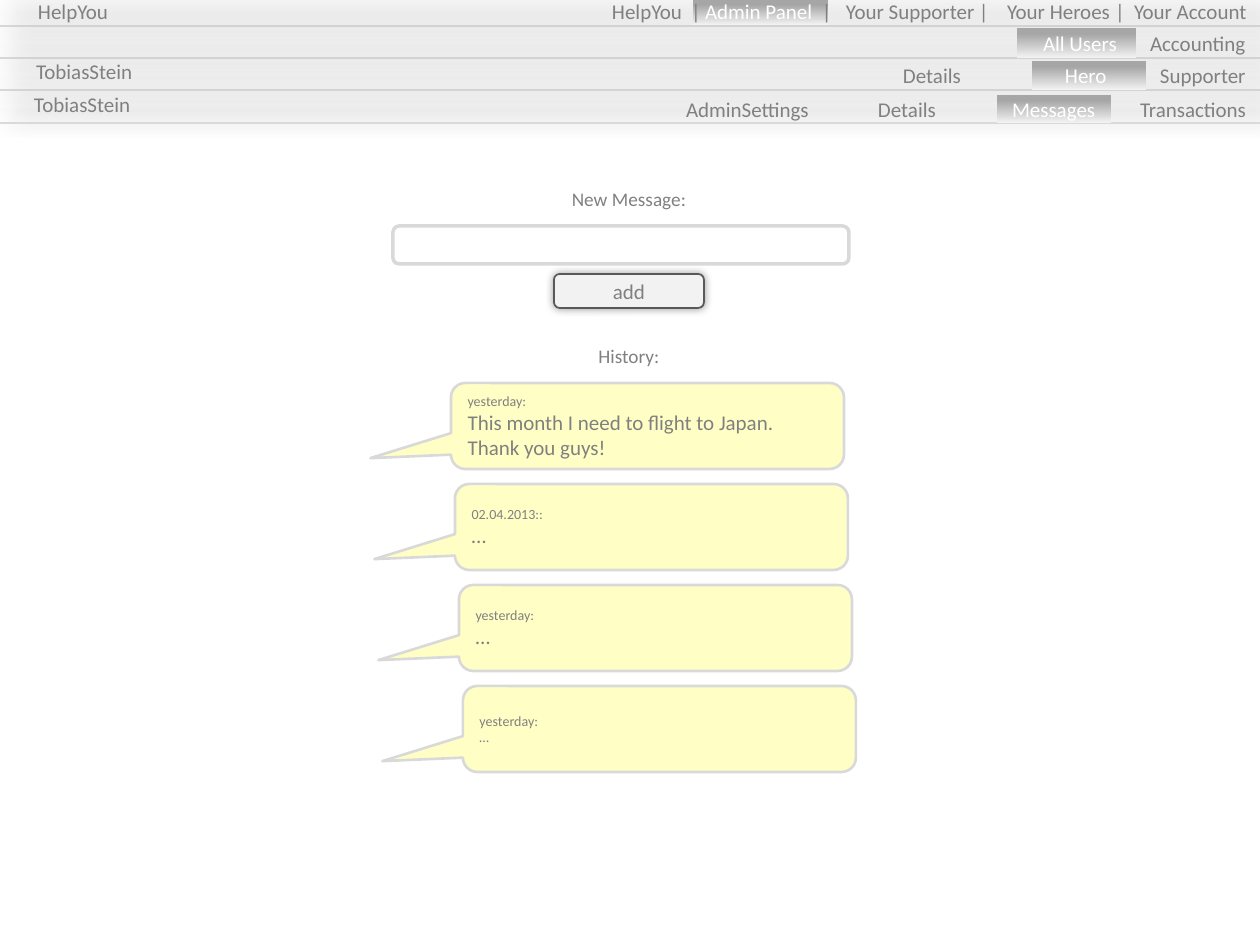
from dataclasses import dataclass

from lxml import etree
from pptx import Presentation
from pptx.dml.color import RGBColor
from pptx.enum.shapes import MSO_CONNECTOR, MSO_SHAPE
from pptx.enum.text import MSO_ANCHOR, PP_ALIGN
from pptx.oxml.ns import qn
from pptx.util import Emu, Pt

PX = 914400 / 126
SLIDE_W, SLIDE_H = 1260, 945
FONT = "Calibri"
RECT, ROUNDED = MSO_SHAPE.RECTANGLE, MSO_SHAPE.ROUNDED_RECTANGLE
CALLOUT = MSO_SHAPE.ROUNDED_RECTANGULAR_CALLOUT
STRAIGHT = MSO_CONNECTOR.STRAIGHT
LEFT, CENTER = PP_ALIGN.LEFT, PP_ALIGN.CENTER
MIDDLE = MSO_ANCHOR.MIDDLE
COLORS = {
    "text": "808080", "active": "FFFFFF", "rule": "D9D9D9",
    "tab_top": "A6A6A6", "tab_bottom": "F2F2F2", "note": "FFFF99",
    "button": "F2F2F2", "button_edge": "595959", "shadow": "000000",
}


@dataclass(frozen=True)
class Box:
    left: int
    top: int
    width: int
    height: int


@dataclass(frozen=True)
class Label:
    text: str
    left: int
    active: bool = False


@dataclass(frozen=True)
class NavRow:
    rule_y: int
    text_y: int
    tab: Box
    labels: tuple[Label, ...]


@dataclass(frozen=True)
class Message:
    when: str
    lines: tuple[str, ...]
    size: int = 12


NAV_ROWS = (
    NavRow(26, 11, Box(693, 0, 135, 25), (
        Label("HelpYou", 612), Label("|", 691), Label("Admin Panel", 705, True),
        Label("|", 822), Label("Your Supporter", 846), Label("|", 979),
        Label("Your Heroes", 1007), Label("|", 1115), Label("Your Account", 1134))),
    NavRow(58, 43, Box(1017, 28, 119, 30), (
        Label("All Users", 1043, True), Label("Accounting", 1150))),
    NavRow(90, 75, Box(1032, 61, 114, 29), (
        Label("Details", 903), Label("Hero", 1065, True), Label("Supporter", 1160))),
    NavRow(123, 109, Box(997, 95, 114, 28), (
        Label("AdminSettings", 686), Label("Details", 878),
        Label("Messages", 1012, True), Label("Transactions", 1140))),
)
# Name at the left end of a row: label and vertical centre
OWNERS = ((Label("HelpYou", 38), 11), (Label("TobiasStein", 36), 71),
          (Label("TobiasStein", 34), 104))
MESSAGES = (
    Message("yesterday:", ("This month I need to flight to Japan.", "Thank you guys!")),
    Message("02.04.2013::", ("…",)),
    Message("yesterday:", ("…",)),
    Message("yesterday:", ("…",), size=8),
)


def px(value: float) -> Emu:
    return Emu(round(value * PX))


def rgb(name: str) -> RGBColor:
    return RGBColor.from_string(COLORS[name])


def add_shadow(shape, blur: int, distance: int, angle: int, alpha: int) -> None:
    effects = shape._element.spPr.get_or_add_effectLst() if hasattr(
        shape._element.spPr, "get_or_add_effectLst") else etree.SubElement(
        shape._element.spPr, qn("a:effectLst"))
    shadow = etree.SubElement(effects, qn("a:outerShdw"), blurRad=str(Pt(blur)),
                              dist=str(Pt(distance)), dir=str(angle * 60000),
                              algn="ctr", rotWithShape="0")
    color = etree.SubElement(shadow, qn("a:srgbClr"), val=COLORS["shadow"])
    etree.SubElement(color, qn("a:alpha"), val=str(alpha * 1000))


def write(paragraph, text: str, *, size: int = 12, color: str = "text",
          align=LEFT) -> None:
    paragraph.alignment = align
    run = paragraph.add_run()
    run.text = text
    run.font.name, run.font.size = FONT, Pt(size)
    run.font.color.rgb = rgb(color)


def add_label(slide, text: str, box: Box, **text_format) -> None:
    frame = slide.shapes.add_textbox(
        px(box.left), px(box.top), px(box.width), px(box.height)).text_frame
    frame.margin_left = frame.margin_right = 0
    frame.margin_top = frame.margin_bottom = 0
    frame.word_wrap = True
    frame.vertical_anchor = MIDDLE
    write(frame.paragraphs[0], text, **text_format)


def add_nav_label(slide, label: Label, center_y: int) -> None:
    add_label(slide, label.text, Box(label.left, center_y - 13, 145, 26),
              color="active" if label.active else "text")


def add_box(slide, kind, box: Box, fill: str = "", line: str = "", weight: float = 1):
    shape = slide.shapes.add_shape(
        kind, px(box.left), px(box.top), px(box.width), px(box.height))
    shape.shadow.inherit = False
    if fill:
        shape.fill.solid()
        shape.fill.fore_color.rgb = rgb(fill)
    else:
        shape.fill.background()
    if line:
        shape.line.color.rgb = rgb(line)
        shape.line.width = Pt(weight)
    else:
        shape.line.fill.background()
    shape.text_frame.word_wrap = True
    shape.text_frame.vertical_anchor = MIDDLE
    return shape


def add_rule(slide, y: int) -> None:
    rule = slide.shapes.add_connector(STRAIGHT, px(-4), px(y), px(SLIDE_W), px(y))
    rule.line.color.rgb = rgb("rule")
    rule.line.width = Pt(0.75)
    add_shadow(rule, blur=16, distance=11, angle=315, alpha=100)


def add_tab(slide, box: Box) -> None:
    tab = add_box(slide, RECT, box)
    tab.fill.gradient()
    tab.fill.gradient_angle = 270
    for stop, position, name in zip(tab.fill.gradient_stops, (0.19, 1),
                                    ("tab_top", "tab_bottom")):
        stop.position = position
        stop.color.rgb = rgb(name)


def add_message(slide, message: Message, box: Box) -> None:
    bubble = add_box(slide, CALLOUT, box, "note", "rule", 1.5)
    for index, value in enumerate((-0.705, 0.374, 0.167)):
        bubble.adjustments[index] = value
    note_color = bubble._element.spPr.find(qn("a:solidFill"))[0]
    etree.SubElement(note_color, qn("a:alpha"), val="57000")
    frame = bubble.text_frame
    write(frame.paragraphs[0], message.when, size=8)
    for line in message.lines:
        write(frame.add_paragraph(), line, size=message.size)


def main() -> None:
    deck = Presentation()
    deck.slide_width, deck.slide_height = px(SLIDE_W), px(SLIDE_H)
    slide = deck.slides.add_slide(deck.slide_layouts[6])

    # Navigation bars
    for row in NAV_ROWS:
        add_rule(slide, row.rule_y)
    for row in NAV_ROWS:
        add_tab(slide, row.tab)
        for label in row.labels:
            add_nav_label(slide, label, row.text_y)
    for owner, center_y in OWNERS:
        add_nav_label(slide, owner, center_y)

    # New message form
    add_label(slide, "New Message:", Box(515, 180, 228, 37), size=11, align=CENTER)
    add_box(slide, ROUNDED, Box(393, 226, 456, 38), line="rule", weight=2)
    add_button = add_box(slide, ROUNDED, Box(554, 274, 150, 34), "button", "button_edge")
    add_shadow(add_button, blur=5, distance=0, angle=0, alpha=40)
    write(add_button.text_frame.paragraphs[0], "add", align=CENTER)

    # Message history
    add_label(slide, "History:", Box(515, 337, 228, 37), size=11, align=CENTER)
    for index, message in enumerate(MESSAGES):
        add_message(slide, message, Box(451 + 4 * index, 383 + 101 * index, 393, 86))

    deck.save("out.pptx")


if __name__ == "__main__":
    main()
